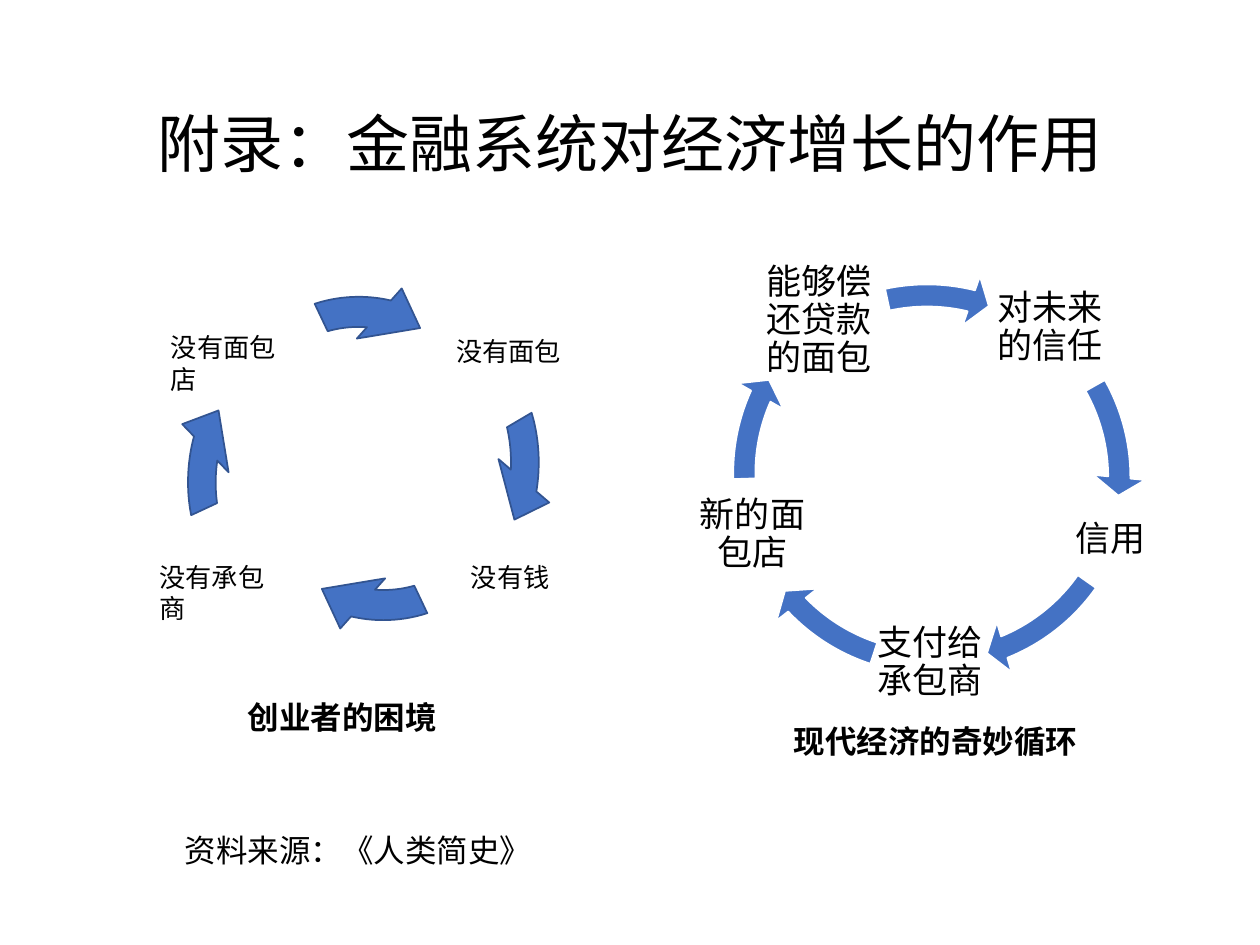
from pptx import Presentation
from pptx.dml.color import RGBColor
from pptx.enum.shapes import MSO_SHAPE
from pptx.enum.text import MSO_ANCHOR, MSO_AUTO_SIZE, PP_ALIGN
from pptx.oxml.ns import qn
from pptx.util import Pt
from lxml import etree

THEME = {
    "font": "Noto Sans CJK SC", "text": RGBColor(0, 0, 0),
    "arrow": RGBColor(0x44, 0x72, 0xC4), "edge": RGBColor(0x32, 0x54, 0x91),
    "white": RGBColor(255, 255, 255),
    "title": 36, "body": 18, "dilemma": 15, "cycle": 20,
}

# Free text: wording, (left, top, width, height), size, bold, alignment
HEADINGS = [
    ("附录：金融系统对经济增长的作用", (66, 56, 588, 51), "title", False, PP_ALIGN.CENTER),
    ("创业者的困境", (134.5, 395.5, 163.5, 29), "body", True, PP_ALIGN.LEFT),
    ("现代经济的奇妙循环", (446.5, 409, 258, 29), "body", True, PP_ALIGN.LEFT),
    ("资料来源：《人类简史》", (98.5, 471.5, 370, 29), "body", False, PP_ALIGN.LEFT),
]

# Left loop: labels, then arrows as (box, rotation, style)
DILEMMA_LABELS = [
    ("没有面包店", (90.5, 186, 87, 44)),
    ("没有面包", (253.5, 188, 87, 25.5)),
    ("没有钱", (262, 317, 87, 25.5)),
    ("没有承包商", (84, 317, 87, 44)),
]
# Arrow styles: band thickness, head angle, end angle, start angle, head half-width
ACROSS = (0.127, 27.93, 283.89, 244.69, 0.142)
UPRIGHT = (0.125, 27.03, 283.56, 239.43, 0.151)
DILEMMA_ARROWS = [
    ((126, 159, 158, 135.5), 0, ACROSS),
    ((171.5, 201, 168.5, 126.5), 90, UPRIGHT),
    ((140, 229.5, 158, 135.5), 180, ACROSS),
    ((75.5, 207.5, 168.5, 126.5), 275.5, UPRIGHT),
]

# Right loop: labels, then arrows as (left, top, end angle, start angle)
CYCLE_LABELS = [
    ("对未来的信任", (567.5, 155, 65, 65)),
    ("信用", (603.5, 283.5, 62, 50)),
    ("支付给承包商", (499, 346.5, 65, 65)),
    ("新的面包店", (389, 273.5, 82, 65)),
    ("能够偿还贷款的面包", (427.5, 151, 81.5, 65)),
]
CYCLE_ARROWS = [
    (411, 151, 0.06, 330.62),
    (412, 149, 67.93, 35.18),
    (411, 150, 136.33, 108.21),
    (410.5, 148.5, 204.21, 178.2),
    (408, 154, 283.71, 257.79),
]
RING = 243.5


def add_text(shapes, wording, box, size, bold=False, align=PP_ALIGN.LEFT, tight=False):
    frame = shapes.add_textbox(*map(Pt, box)).text_frame
    frame.word_wrap = True
    paragraph = frame.paragraphs[0]
    paragraph.alignment = align
    if tight:
        frame.auto_size = MSO_AUTO_SIZE.NONE
        frame.vertical_anchor = MSO_ANCHOR.MIDDLE
        frame.margin_left = frame.margin_right = Pt(2)
        frame.margin_top = frame.margin_bottom = Pt(2)
        paragraph.line_spacing = 0.9
    else:
        frame.auto_size = MSO_AUTO_SIZE.SHAPE_TO_FIT_TEXT
    run = paragraph.add_run()
    run.text = wording
    run.font.size = Pt(THEME[size])
    run.font.bold = bold
    run.font.color.rgb = THEME["text"]
    run.font.name = THEME["font"]
    # East Asian glyphs take their own font entry
    east_asian = etree.SubElement(run.font._element, qn("a:ea"))
    east_asian.set("typeface", THEME["font"])


def add_arrow(shapes, box, style, edge, rotation=0):
    thickness, head, end, start, half_width = style
    arrow = shapes.add_shape(MSO_SHAPE.CIRCULAR_ARROW, *map(Pt, box))
    arrow.rotation = rotation
    # An angle adjustment of 1.0 is 100000/60000 of a degree
    values = (thickness, head * 0.6, end * 0.6, start * 0.6, half_width)
    for index, value in enumerate(values):
        arrow.adjustments[index] = value
    arrow.shadow.inherit = False
    arrow.fill.solid()
    arrow.fill.fore_color.rgb = THEME["arrow"]
    arrow.line.color.rgb = THEME[edge]
    arrow.line.width = Pt(1)


def main():
    prs = Presentation()
    prs.slide_width, prs.slide_height = Pt(720), Pt(540)
    slide = prs.slides.add_slide(prs.slide_layouts[6])

    # Left loop
    dilemma = slide.shapes.add_group_shape().shapes
    for box, rotation, style in DILEMMA_ARROWS:
        add_arrow(dilemma, box, style, "edge", rotation)
    for wording, box in DILEMMA_LABELS:
        add_text(dilemma, wording, box, "dilemma")

    # Right loop: each label is followed by its arrow
    cycle = slide.shapes.add_group_shape().shapes
    for (wording, box), (left, top, end, start) in zip(CYCLE_LABELS, CYCLE_ARROWS):
        add_text(cycle, wording, box, "cycle", align=PP_ALIGN.CENTER, tight=True)
        add_arrow(cycle, (left, top, RING, RING), (0.052, 5.6, end, start, 0.061), "white")

    # Title, captions and source
    for heading in HEADINGS:
        add_text(slide.shapes, *heading)

    prs.save("out.pptx")


if __name__ == "__main__":
    main()
